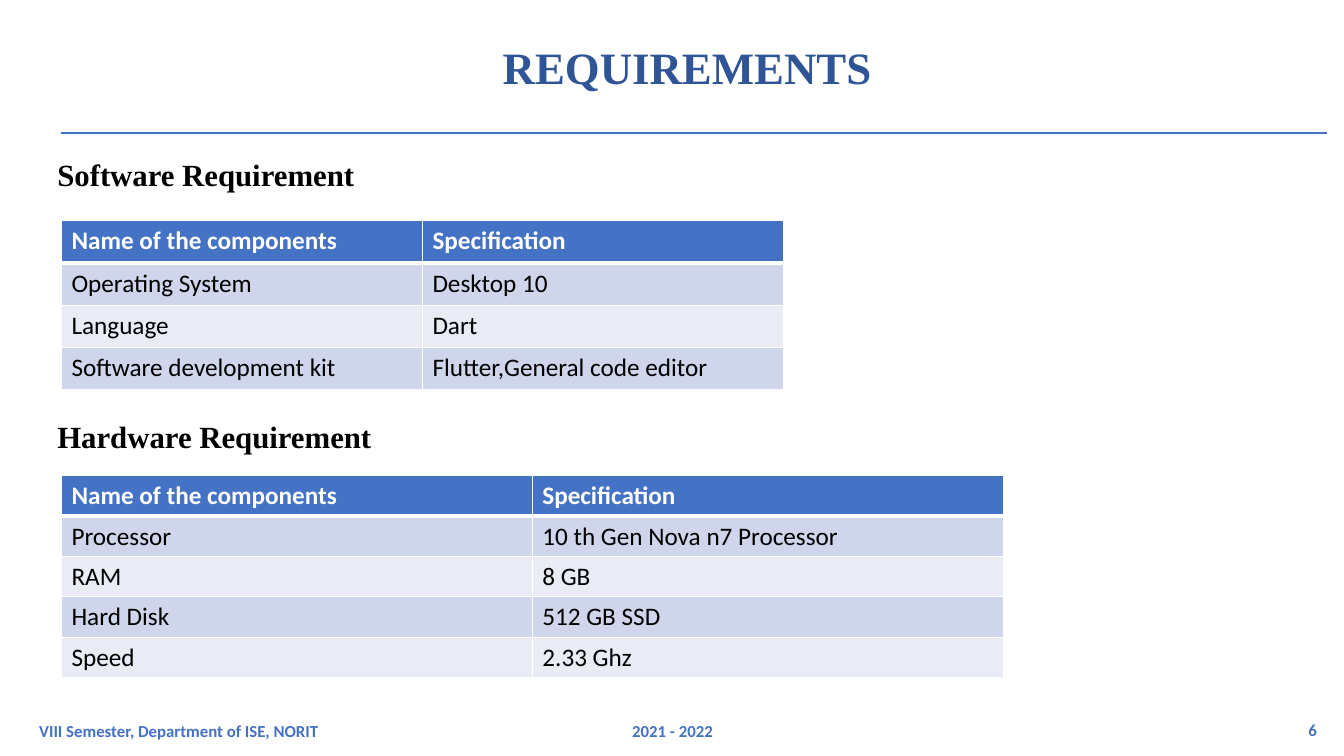
from lxml import etree
from pptx import Presentation
from pptx.dml.color import RGBColor
from pptx.enum.shapes import MSO_CONNECTOR
from pptx.enum.text import MSO_ANCHOR, PP_ALIGN
from pptx.oxml.ns import qn
from pptx.util import Pt

PX = 9144  # 100 px to the inch
STRAIGHT = MSO_CONNECTOR.STRAIGHT
TOP, MIDDLE = MSO_ANCHOR.TOP, MSO_ANCHOR.MIDDLE
LEFT, CENTER, RIGHT = PP_ALIGN.LEFT, PP_ALIGN.CENTER, PP_ALIGN.RIGHT

BLUE = RGBColor(0x44, 0x72, 0xC4)
NAVY = RGBColor(0x2F, 0x55, 0x97)
BLACK = RGBColor(0, 0, 0)
WHITE = RGBColor(0xFF, 0xFF, 0xFF)
BAND_DARK = RGBColor(0xCF, 0xD5, 0xEA)
BAND_LIGHT = RGBColor(0xE9, 0xEB, 0xF5)
SERIF, SANS = "Times New Roman", "Calibri"

HEADER = ("Name of the components", "Specification")
SOFTWARE = [
    HEADER,
    ("Operating System", "Desktop 10"),
    ("Language", "Dart"),
    ("Software development kit", "Flutter,General code editor"),
]
HARDWARE = [
    HEADER,
    ("Processor", "10 th Gen Nova n7 Processor"),
    ("RAM", "8 GB"),
    ("Hard Disk", "512 GB SSD"),
    ("Speed", "2.33 Ghz"),
]


def add_run(paragraph, text, font, size, color, bold):
    run = paragraph.add_run()
    run.text = text
    run.font.name = font
    run.font.size = Pt(size)
    run.font.bold = bold
    run.font.color.rgb = color


def add_label(slide, box, text, font, size, color, align=LEFT, anchor=MIDDLE, spacing=1.0):
    frame = slide.shapes.add_textbox(*(PX * n for n in box)).text_frame
    frame.word_wrap = True
    frame.vertical_anchor = anchor
    paragraph = frame.paragraphs[0]
    paragraph.alignment = align
    paragraph.line_spacing = spacing
    add_run(paragraph, text, font, size, color, True)


def add_rule(slide, x1, x2, y):
    rule = slide.shapes.add_connector(STRAIGHT, x1 * PX, y * PX, x2 * PX, y * PX)
    rule.line.color.rgb = BLUE
    rule.line.width = Pt(1)
    etree.SubElement(rule._element.spPr, qn("a:effectLst"))


def set_borders(cell, top, bottom):
    properties = cell._tc.get_or_add_tcPr()
    sides = (("L", 1), ("R", 1), ("T", top), ("B", bottom))
    for position, (side, width) in enumerate(sides):
        border = etree.Element(qn(f"a:ln{side}"), w=str(Pt(width)))
        fill = etree.SubElement(border, qn("a:solidFill"))
        etree.SubElement(fill, qn("a:srgbClr"), val=str(WHITE))
        properties.insert(position, border)


def add_spec_table(slide, x, y, column_width, row_height, rows):
    table = slide.shapes.add_table(
        len(rows), len(HEADER), x * PX, y * PX,
        len(HEADER) * column_width * PX, len(rows) * row_height * PX).table
    for column in table.columns:
        column.width = column_width * PX
    for r, values in enumerate(rows):
        table.rows[r].height = row_height * PX
        is_header = r == 0
        band = BLUE if is_header else BAND_DARK if r % 2 else BAND_LIGHT
        for c, value in enumerate(values):
            cell = table.cell(r, c)
            cell.fill.solid()
            cell.fill.fore_color.rgb = band
            set_borders(cell, 3 if r == 1 else 1, 3 if is_header else 1)
            add_run(cell.text_frame.paragraphs[0], value, SANS, 18,
                    WHITE if is_header else BLACK, is_header)


def main():
    deck = Presentation()
    deck.slide_width, deck.slide_height = 1333 * PX, 750 * PX
    slide = deck.slides.add_slide(deck.slide_layouts[6])

    # Title and rule
    add_label(slide, (47, 6, 1269, 126), "REQUIREMENTS", SERIF, 32, NAVY, CENTER, spacing=0.9)
    add_rule(slide, 61, 1316, 132)

    # Headings
    for y, heading in ((154, "Software Requirement"), (414, "Hardware Requirement")):
        add_label(slide, (47, y, 1249, 45), heading, SERIF, 22, BLACK, anchor=TOP, spacing=0.9)

    # Tables
    add_spec_table(slide, 61, 219, 358, 42, SOFTWARE)
    add_spec_table(slide, 61, 472, 467, 40, HARDWARE)

    # Footer
    for box, text, align in (
        ((29, 705, 350, 40), "VIII Semester, Department of ISE, NORIT", LEFT),
        ((442, 705, 450, 40), "2021 - 2022", CENTER),
        ((1016, 704, 300, 40), "6", RIGHT),
    ):
        add_label(slide, box, text, SANS, 12, BLUE, align)

    deck.save("out.pptx")


if __name__ == "__main__":
    main()
